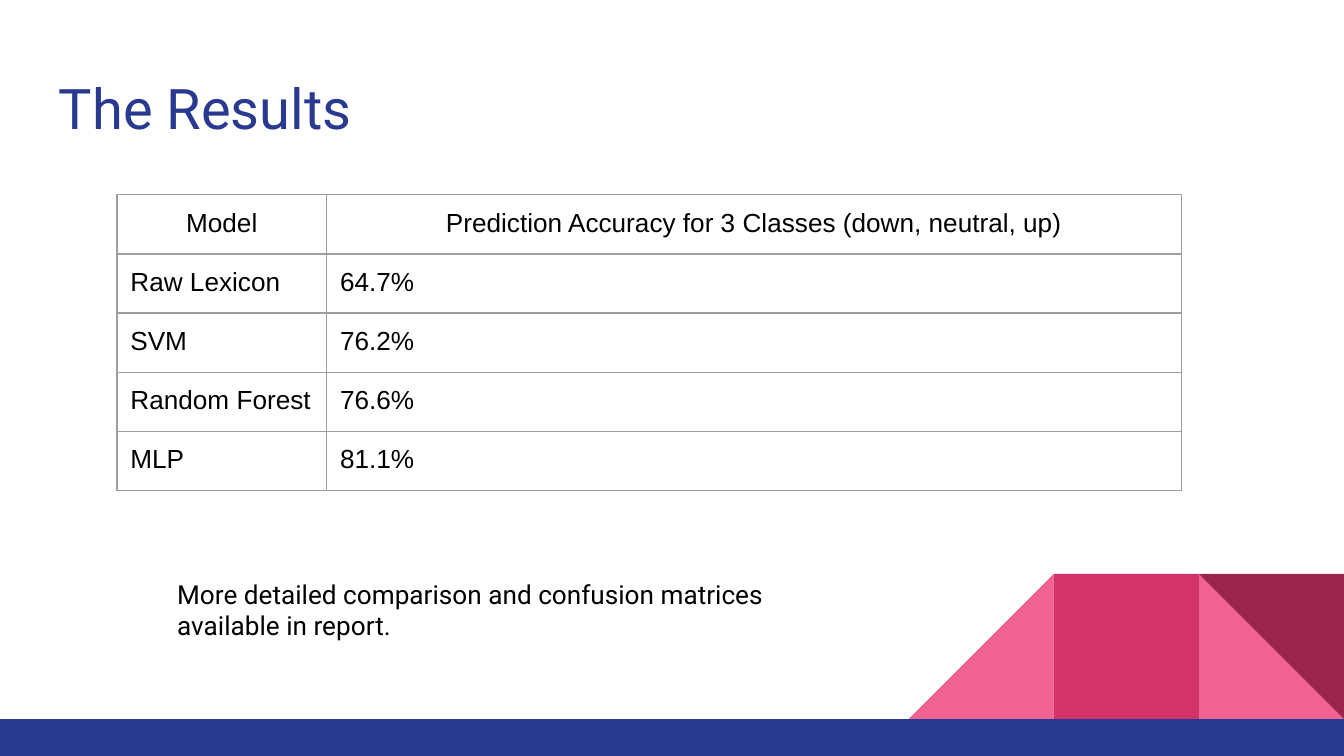
from lxml.etree import SubElement
from pptx import Presentation
from pptx.dml.color import RGBColor
from pptx.enum.shapes import MSO_SHAPE
from pptx.enum.text import PP_ALIGN
from pptx.oxml.ns import qn
from pptx.util import Inches, Pt

BLUE = "2A3990"
PINK = "F06292"
ROSE = "D23369"
WINE = "9C254D"
GRAY = "9E9E9E"
BLACK = "000000"

ROWS = [
    ("Model", "Prediction Accuracy for 3 Classes (down, neutral, up)"),
    ("Raw Lexicon", "64.7%"),
    ("SVM", "76.2%"),
    ("Random Forest", "76.6%"),
    ("MLP", "81.1%"),
]
WIDTHS = (1.56, 6.36)
HEIGHT = 0.44
TILE = 1.08
WIDE = 10
HIGH = WIDE * 9 / 16


def color(code):
    return RGBColor.from_string(code)


def add_block(slide, kind, left, top, width, height, fill, turn=0):
    box = map(Inches, (left, top, width, height))
    shape = slide.shapes.add_shape(kind, *box)
    shape.shadow.inherit = False
    shape.fill.solid()
    shape.fill.fore_color.rgb = color(fill)
    shape.line.fill.background()
    shape.rotation = turn


def add_decor(slide):
    tri = MSO_SHAPE.RIGHT_TRIANGLE
    tiles = [
        (tri, 2, PINK, 0),
        (tri, 0, PINK, 270),
        (MSO_SHAPE.RECTANGLE, 1, ROSE, 0),
        (tri, 2, WINE, 180),
    ]
    for kind, col, fill, turn in tiles:
        left = WIDE - (3 - col) * TILE
        add_block(slide, kind, left, 4.27, TILE, TILE, fill, turn)
    add_block(slide, MSO_SHAPE.RECTANGLE, 0, 5.35, WIDE, 0.28, BLUE)


def write(frame, text, size, face, code):
    para = frame.paragraphs[0]
    para.text = text
    font = para.font
    font.size = Pt(size)
    font.name = face
    font.bold = False
    font.color.rgb = color(code)
    return para


def pad(item):
    item.margin_left = item.margin_right = Inches(0.1)
    item.margin_top = item.margin_bottom = Inches(0.1)


def add_text(slide, left, top, width, height, text, size, code):
    box = map(Inches, (left, top, width, height))
    frame = slide.shapes.add_textbox(*box).text_frame
    frame.word_wrap = True
    pad(frame)
    write(frame, text, size, "Roboto", code)


def add_border(cell):
    props = cell._tc.get_or_add_tcPr()
    for side in ("a:lnL", "a:lnR", "a:lnT", "a:lnB"):
        line = SubElement(props, qn(side), w=str(Pt(0.75)))
        fill = SubElement(line, qn("a:solidFill"))
        SubElement(fill, qn("a:srgbClr"), val=GRAY)


def add_grid(slide, left, top):
    box = map(Inches, (left, top, sum(WIDTHS), HEIGHT * len(ROWS)))
    table = slide.shapes.add_table(len(ROWS), len(WIDTHS), *box).table
    table.first_row = table.horz_banding = False
    for col, width in zip(table.columns, WIDTHS):
        col.width = Inches(width)
    for r, row in enumerate(ROWS):
        table.rows[r].height = Inches(HEIGHT)
        for c, text in enumerate(row):
            cell = table.cell(r, c)
            pad(cell)
            para = write(cell.text_frame, text, 14, "Arial", BLACK)
            para.alignment = PP_ALIGN.LEFT if r else PP_ALIGN.CENTER
            add_border(cell)
            cell.fill.background()


def main():
    deck = Presentation()
    deck.slide_width = Inches(WIDE)
    deck.slide_height = Inches(HIGH)
    slide = deck.slides.add_slide(deck.slide_layouts[6])
    add_decor(slide)
    add_text(slide, 0.34, 0.45, 9.32, 0.66, "The Results", 30, BLUE)
    add_grid(slide, 0.87, 1.45)
    note = "More detailed comparison and confusion matrices available in report."
    add_text(slide, 1.22, 4.2, 4.86, 0.45, note, 14, BLACK)
    deck.save("out.pptx")


if __name__ == "__main__":
    main()
